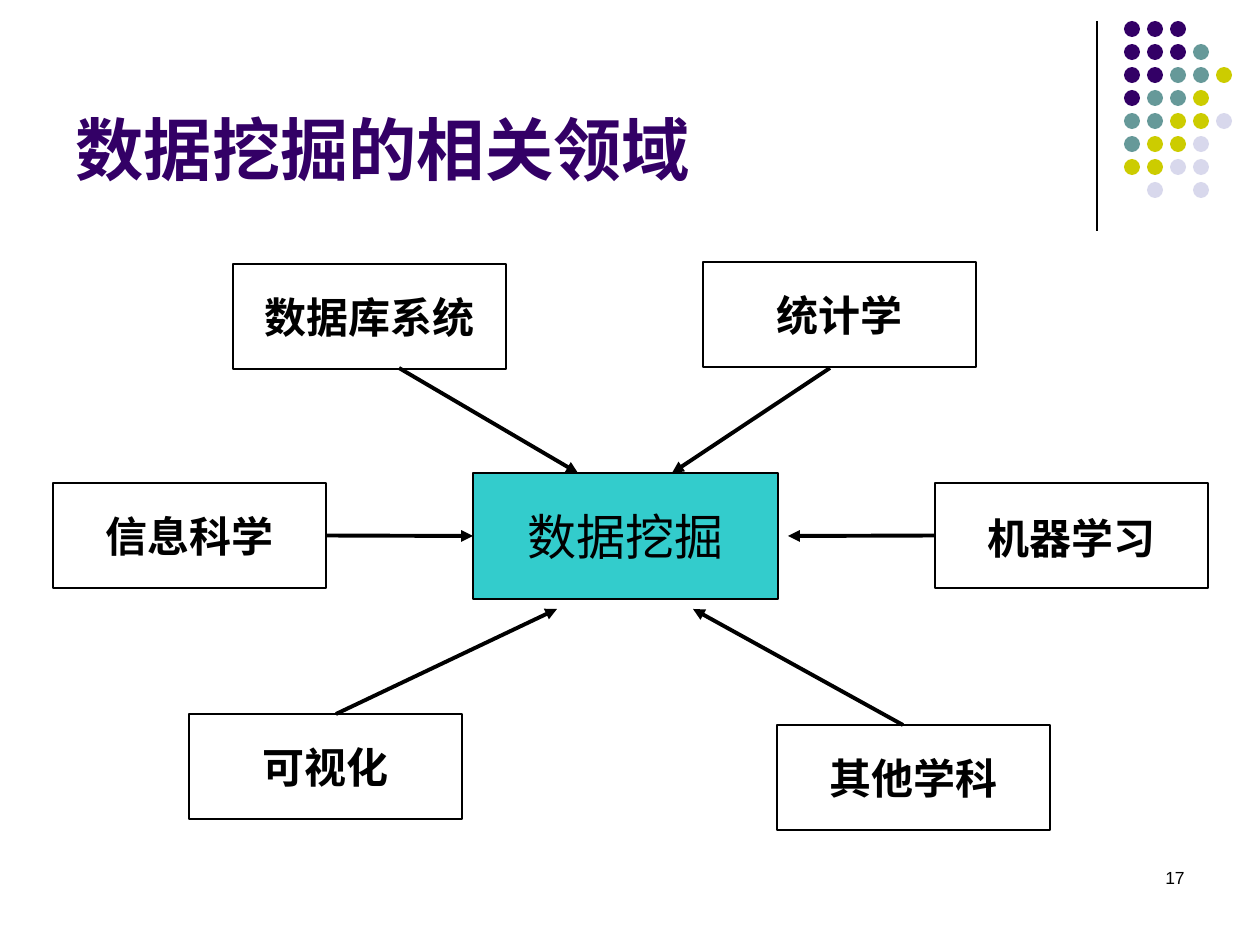
from lxml.etree import SubElement
from pptx import Presentation
from pptx.dml.color import RGBColor
from pptx.enum.shapes import MSO_CONNECTOR, MSO_SHAPE
from pptx.enum.text import MSO_ANCHOR, MSO_AUTO_SIZE, PP_ALIGN
from pptx.oxml.ns import qn
from pptx.util import Pt

TITLE = "数据挖掘的相关领域"
PAGE = "17"
CORE = ("数据挖掘", 473, 473, 305, 126)
FIELD_W, FIELD_H = 273, 105
FIELDS = [
    ("数据库系统", 233, 264),
    ("统计学", 703, 262),
    ("其他学科", 777, 725),
    ("可视化", 189, 714),
    ("信息科学", 53, 483),
    ("机器学习", 935, 483),
]
ARROWS = [
    ("信息科学", 3, (326, 536), (473, 536), 1),
    ("数据库系统", None, (399, 368), (578, 473), None),
    ("统计学", None, (830, 368), (672, 473), None),
    ("机器学习", 1, (935, 536), (788, 536), None),
    ("其他学科", None, (903, 725), (693, 609), None),
    ("可视化", None, (336, 714), (557, 609), None),
]
DOTS = ["PPP", "PPPT", "PPTTY", "PTTY", "TTYYL", "TYYL", "YYLL", " L L"]
DOT_X, DOT_Y, DOT_STEP, DOT_SIZE = 1124, 21, 23, 16
COLORS = {
    "P": "330066", "T": "669999", "Y": "CCCC00", "L": "D8D8EC",
    "core": "33CCCC", "ink": "000000",
}
SCALE = 914400 / 126


def emu(*px):
    return [round(n * SCALE) for n in px]


def color(name):
    return RGBColor.from_string(COLORS[name])


def write(frame, text, size, font, ink="ink", bold=False, align=PP_ALIGN.LEFT):
    para = frame.paragraphs[0]
    para.alignment = align
    run = para.add_run()
    run.text = text
    run.font.size = Pt(size)
    run.font.name = font
    run.font.bold = bold
    run.font.color.rgb = color(ink)
    return para


def draw_shape(kind, box, fill=None, line=None):
    shape = slide.shapes.add_shape(kind, *emu(*box))
    shape.shadow.inherit = False
    if fill:
        shape.fill.solid()
        shape.fill.fore_color.rgb = color(fill)
    else:
        shape.fill.background()
    if line:
        shape.line.color.rgb = color(line)
        shape.line.width = Pt(0.75)
    else:
        shape.line.fill.background()
    return shape


def draw_box(text, box, size, fill=None, bold=False):
    shape = draw_shape(MSO_SHAPE.RECTANGLE, box, fill, "ink")
    frame = shape.text_frame
    frame.word_wrap = False
    frame.vertical_anchor = MSO_ANCHOR.MIDDLE
    para = write(frame, text, size, "Lato", bold=bold, align=PP_ALIGN.CENTER)
    if text == "机器学习":
        para.line_spacing = 1.1
    return shape


def draw_line(start, end, width):
    line = slide.shapes.add_connector(MSO_CONNECTOR.STRAIGHT, *emu(*start, *end))
    line.line.color.rgb = color("ink")
    line.line.width = Pt(width)
    SubElement(line._element.spPr, qn("a:effectLst"))
    return line


deck = Presentation()
deck.slide_width, deck.slide_height = emu(1260, 945)
slide = deck.slides.add_slide(deck.slide_layouts[5])

title = slide.shapes.title
title.left, title.top, title.width, title.height = emu(63, 16, 1040, 179)
title.text_frame.auto_size = MSO_AUTO_SIZE.NONE
title.text_frame.vertical_anchor = MSO_ANCHOR.BOTTOM
write(title.text_frame, TITLE, 39, "Arial", "P", True)

draw_line((1097, 21), (1097, 231), 0.75)
for row, marks in enumerate(DOTS):
    for col, mark in enumerate(marks):
        if mark != " ":
            spot = (DOT_X + col * DOT_STEP, DOT_Y + row * DOT_STEP, DOT_SIZE, DOT_SIZE)
            draw_shape(MSO_SHAPE.OVAL, spot, mark)

page = slide.shapes.add_textbox(*emu(903, 861, 294, 63))
page.text_frame.word_wrap = True
write(page.text_frame, PAGE, 10, "Arial", align=PP_ALIGN.RIGHT)

core = draw_box(CORE[0], CORE[1:], 28, "core")
boxes = {
    name: draw_box(name, (x, y, FIELD_W, FIELD_H), 24, bold=True)
    for name, x, y in FIELDS
}

for name, side, start, end, goal in ARROWS:
    arrow = draw_line(start, end, 2.25)
    SubElement(arrow.line._get_or_add_ln(), qn("a:tailEnd"), type="triangle")
    if side is not None:
        arrow.begin_connect(boxes[name], side)
    if goal is not None:
        arrow.end_connect(core, goal)

deck.save("out.pptx")
